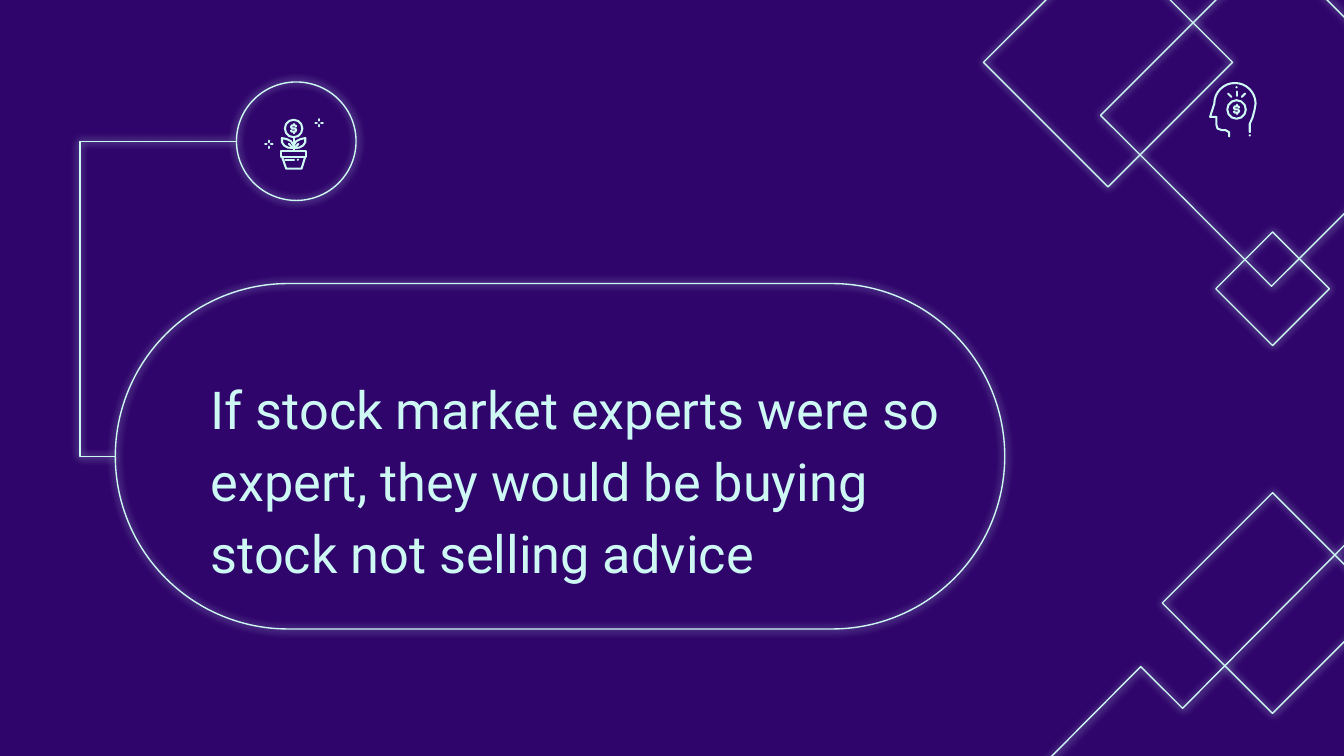
from math import cos, pi, sin

from lxml.etree import SubElement
from pptx import Presentation
from pptx.dml.color import RGBColor
from pptx.enum.shapes import MSO_CONNECTOR as CONN, MSO_SHAPE as SHAPE
from pptx.enum.text import MSO_ANCHOR, MSO_AUTO_SIZE, PP_ALIGN
from pptx.oxml.ns import qn
from pptx.util import Cm, Pt

# Content (lengths in cm)
QUOTE = ("If stock market experts were so expert, "
         "they would be buying stock not selling advice")
PURPLE, MINT = "2F046B", "CDF8F4"
DIAMONDS = [  # centre x, centre y, side
    (24.03, 2.18, 4.57), (20.94, 1.18, 3.33),
    (24.05, 5.46, 1.52), (24.05, 11.4, 2.95)]
ZIGZAG = [(26.39, 9.32), (22.35, 13.39), (21.56, 12.6), (17.12, 17.07)]
CAPSULE = (2.18, 5.36, 16.81, 6.53)
QUOTE_BOX = (3.73, 5.84, 15.44, 6.3)
CIRCLE = (4.47, 1.55, 2.26, 2.24)

# Dollar sign, as offsets from the middle of its coin
DOLLAR = [
    [(.05, -.04), (.03, -.06), (-.03, -.06), (-.05, -.03), (-.03, 0), (.03, 0),
     (.05, .03), (.03, .06), (-.03, .06), (-.05, .04)],
    [(0, -.06), (0, -.09)], [(0, .06), (0, .09)]]
SPARKLE = [[(.04 * x, .04 * y), (.07 * x, .07 * y)]
           for x, y in ((0, -1), (1, 0), (0, 1), (-1, 0))]

# Plant icon
STEM_X = 5.55
LEFT_LEAF = [
    [(5.55, 2.8), (5.44, 2.79), (5.37, 2.75), (5.33, 2.69), (5.33, 2.61),
     (5.42, 2.63), (5.5, 2.67), (5.55, 2.75), (5.55, 2.8)],
    [(5.46, 2.72), (5.53, 2.79)]]
POT = [
    [(5.31, 2.86), (5.79, 2.86), (5.79, 2.96), (5.31, 2.96), (5.31, 2.86)],
    [(5.33, 2.96), (5.41, 3.19), (5.7, 3.19), (5.77, 2.96)],
    [(5.39, 3.02), (5.56, 3.02)],
    [(STEM_X, 2.59), (STEM_X, 2.85)]]

# Head icon
FACE = [(23.23, 2.58), (23.23, 2.5), (23.16, 2.46), (23.09, 2.46), (23.01, 2.43),
        (22.99, 2.36), (22.99, 2.21), (22.87, 2.21)]
SKULL = [(23.34 - .39 * cos(pi * i / 16), 1.96 - .39 * sin(pi * i / 16))
         for i in range(17)]
NECK = [(23.71, 2.08), (23.67, 2.23), (23.62, 2.34), (23.62, 2.5)]
RAYS = [[(23.37, 1.73), (23.37, 1.81)],
        [(23.53, 1.77), (23.47, 1.83)], [(23.21, 1.77), (23.27, 1.83)]]


def rgb(hex_color):
    return RGBColor.from_string(hex_color)


def cm(values):
    return [Cm(v) for v in values]


def outline(shape, width=.75, glow=True):
    """Mint line without fill, with an optional soft glow around it."""
    if hasattr(shape, "fill"):
        shape.fill.background()
    shape.line.color.rgb = rgb(MINT)
    shape.line.width = Pt(width)
    effects = SubElement(shape.element.spPr, qn("a:effectLst"))
    if glow:
        shadow = SubElement(effects, qn("a:outerShdw"), blurRad=str(Pt(4.5)),
                            dist="0", algn="bl", rotWithShape="0")
        SubElement(shadow, qn("a:srgbClr"), val=MINT)
    else:
        shape.element.spPr.find(qn("a:ln")).set("cap", "rnd")
    return shape


def polyline(shapes, points, **fmt):
    if len(points) == 2:
        line = shapes.add_connector(CONN.STRAIGHT, *cm(points[0] + points[1]))
    else:
        start, *rest = [cm(p) for p in points]
        builder = shapes.build_freeform(*start)
        builder.add_line_segments(rest, close=False)
        line = builder.convert_to_shape()
    return outline(line, **fmt)


def strokes(shapes, lines, x=0, y=0):
    for points in lines:
        polyline(shapes, [(x + dx, y + dy) for dx, dy in points], width=1.1, glow=False)


def coin(shapes, x, y, r):
    outline(shapes.add_shape(SHAPE.OVAL, *cm((x - r, y - r, 2 * r, 2 * r))),
            width=1.1, glow=False)
    strokes(shapes, DOLLAR, x, y)


def dot(shapes, x, y, r=.02):
    shape = shapes.add_shape(SHAPE.OVAL, *cm((x - r, y - r, 2 * r, 2 * r)))
    shape.shadow.inherit = False
    shape.fill.solid()
    shape.fill.fore_color.rgb = rgb(MINT)
    shape.line.fill.background()


def write(shape, text, size, font, color, spacing):
    tf = shape.text_frame
    tf.word_wrap, tf.auto_size = True, MSO_AUTO_SIZE.NONE
    tf.vertical_anchor = MSO_ANCHOR.MIDDLE
    tf.margin_left = tf.margin_right = tf.margin_top = tf.margin_bottom = Cm(.25)
    p = tf.paragraphs[0]
    p.alignment, p.line_spacing = PP_ALIGN.LEFT, spacing
    r = p.add_run()
    r.text = text
    r.font.size, r.font.name, r.font.color.rgb = Pt(size), font, rgb(color)


prs = Presentation()
prs.slide_width, prs.slide_height = Cm(25.4), Cm(14.29)
s = prs.slides.add_slide(prs.slide_layouts[5])
s.background.fill.solid()
s.background.fill.fore_color.rgb = rgb(PURPLE)

# Corner decoration
for x, y, side in DIAMONDS:
    box = cm((x - side / 2, y - side / 2, side, side))
    outline(s.shapes.add_shape(SHAPE.RECTANGLE, *box)).rotation = 45
polyline(s.shapes, ZIGZAG)

# Quote in its capsule
capsule = outline(s.shapes.add_shape(SHAPE.ROUNDED_RECTANGLE, *cm(CAPSULE)))
capsule.adjustments[0] = .5
title = s.shapes.title
title.left, title.top, title.width, title.height = cm(QUOTE_BOX)
write(title, QUOTE, size=28, font="Roboto", color=MINT, spacing=1.15)

# Circle and the elbow that joins it to the capsule
circle = outline(s.shapes.add_shape(SHAPE.OVAL, *cm(CIRCLE)))
elbow = s.shapes.add_connector(
    CONN.ELBOW, capsule.left, capsule.top + capsule.height // 2,
    circle.left, circle.top + circle.height // 2)
elbow.begin_connect(capsule, 1)
guides = elbow.element.spPr.find(qn("a:prstGeom")).get_or_add_avLst()
SubElement(guides, qn("a:gd"), name="adj1", fmla="val -29100")
outline(elbow)

# Plant icon
plant = s.shapes.add_group_shape().shapes
coin(plant, STEM_X, 2.43, .165)
strokes(plant, LEFT_LEAF + POT)
strokes(plant, [[(2 * STEM_X - x, y) for x, y in leaf] for leaf in LEFT_LEAF])
dot(plant, 5.63, 3.02)
for x, y in [(5.08, 2.73), (6.03, 2.32)]:
    strokes(plant, SPARKLE, x, y)

# Head icon
head = s.shapes.add_group_shape().shapes
strokes(head, [FACE + SKULL + NECK] + RAYS)
coin(head, 23.37, 2.07, .175)
for x, y in [(23.62, 2.56), (23.37, 1.65)]:
    dot(head, x, y)

prs.save("out.pptx")
